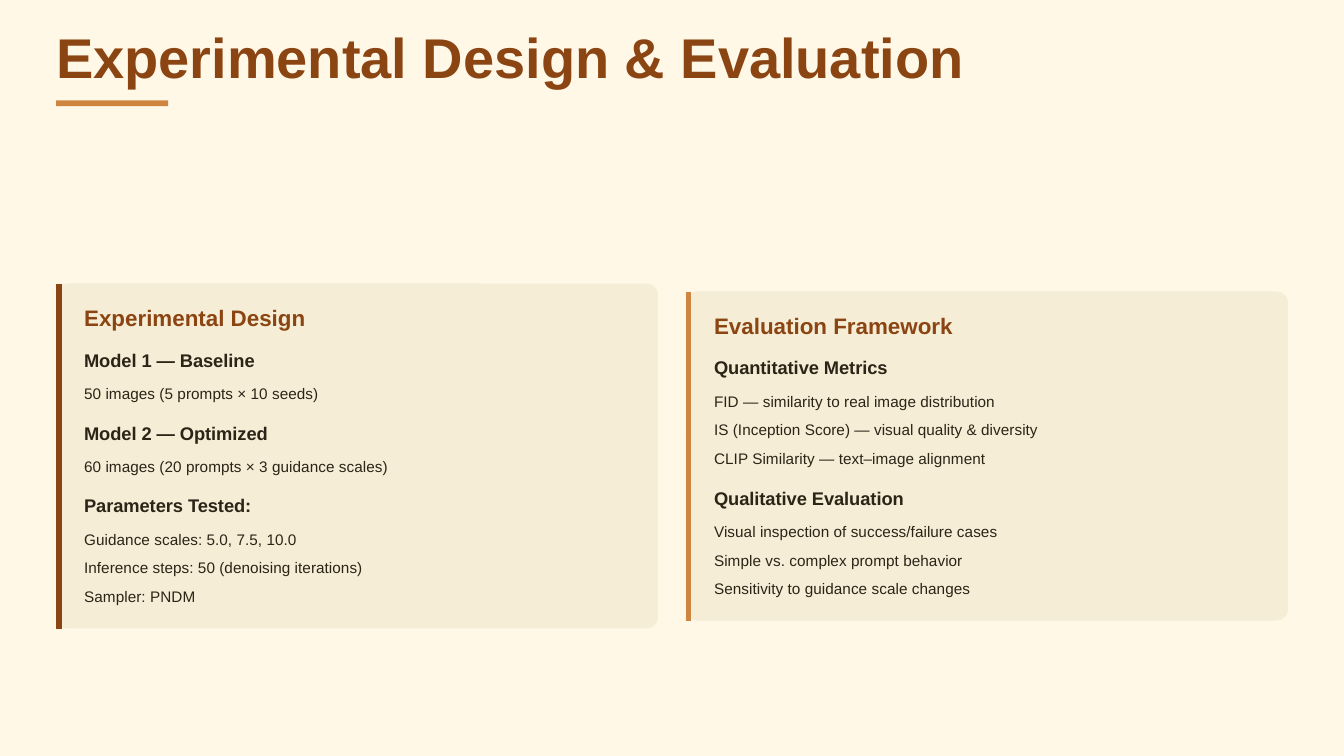
from dataclasses import dataclass

from lxml import etree
from pptx import Presentation
from pptx.dml.color import RGBColor
from pptx.enum.shapes import MSO_CONNECTOR, MSO_SHAPE
from pptx.enum.text import MSO_ANCHOR, MSO_AUTO_SIZE, PP_ALIGN
from pptx.oxml.ns import qn
from pptx.util import Cm, Pt

STRAIGHT = MSO_CONNECTOR.STRAIGHT
RECTANGLE = MSO_SHAPE.RECTANGLE
ROUNDED = MSO_SHAPE.ROUNDED_RECTANGLE
TOP = MSO_ANCHOR.TOP
NO_AUTOFIT = MSO_AUTO_SIZE.NONE
LEFT = PP_ALIGN.LEFT

CREAM = RGBColor(0xFF, 0xF8, 0xE7)
SAND = RGBColor(0xF5, 0xED, 0xD6)
BROWN = RGBColor(0x8B, 0x45, 0x13)
COPPER = RGBColor(0xCD, 0x85, 0x3F)
INK = RGBColor(0x2C, 0x24, 0x16)

FONT = "Arial"
TWO_CONTENT_LAYOUT = 3
SLIDE_WIDTH, SLIDE_HEIGHT = 25.4, 14.29
MARGIN, GAP = 1.06, 0.53
CARD_WIDTH = (SLIDE_WIDTH - 2 * MARGIN - GAP) / 2
CARDS_MIDDLE = 8.62
CORNER_RADIUS = 0.21


@dataclass(frozen=True)
class TextStyle:
    size: float
    line: float
    color: RGBColor
    bold: bool = False
    before: float = 0
    after: float = 0


TITLE = TextStyle(30, 30, BROWN, bold=True)
HEADING = TextStyle(12, 13.3, BROWN, bold=True, after=2)
SUBHEADING = TextStyle(9.75, 13.7, INK, bold=True, before=5.5, after=4.5)
ITEM = TextStyle(8.25, 12.4, INK, after=3)

CARDS = [
    ("Experimental Design", BROWN, 6.52, [
        ("Model 1 — Baseline", ["50 images (5 prompts × 10 seeds)"]),
        ("Model 2 — Optimized", ["60 images (20 prompts × 3 guidance scales)"]),
        ("Parameters Tested:", [
            "Guidance scales: 5.0, 7.5, 10.0",
            "Inference steps: 50 (denoising iterations)",
            "Sampler: PNDM",
        ]),
    ]),
    ("Evaluation Framework", COPPER, 6.22, [
        ("Quantitative Metrics", [
            "FID — similarity to real image distribution",
            "IS (Inception Score) — visual quality & diversity",
            "CLIP Similarity — text–image alignment",
        ]),
        ("Qualitative Evaluation", [
            "Visual inspection of success/failure cases",
            "Simple vs. complex prompt behavior",
            "Sensitivity to guidance scale changes",
        ]),
    ]),
]


class SlideBuilder:
    def __init__(self, presentation):
        layout = presentation.slide_layouts[TWO_CONTENT_LAYOUT]
        self.slide = presentation.slides.add_slide(layout)
        self.shapes = self.slide.shapes
        self.slide.background.fill.solid()
        self.slide.background.fill.fore_color.rgb = CREAM

    def add_panel(self, kind, left, top, width, height, color):
        shape = self.shapes.add_shape(kind, Cm(left), Cm(top), Cm(width), Cm(height))
        shape.shadow.inherit = False
        shape.fill.solid()
        shape.fill.fore_color.rgb = color
        shape.line.fill.background()
        return shape

    def add_vertical_bar(self, x, top, height, color):
        bar = self.shapes.add_connector(STRAIGHT, Cm(x), Cm(top), Cm(x), Cm(top + height))
        bar.line.color.rgb = color
        bar.line.width = Pt(3)
        etree.SubElement(bar.element.spPr, qn("a:effectLst"))

    def fill_placeholder(self, placeholder, left, top, width, height, lines):
        """Place the placeholder in front and fill it with (text, style) lines."""
        self.shapes.element.append(placeholder.element)
        placeholder.left, placeholder.top = Cm(left), Cm(top)
        placeholder.width, placeholder.height = Cm(width), Cm(height)
        frame = placeholder.text_frame
        frame.margin_left = frame.margin_right = 0
        frame.margin_top = frame.margin_bottom = 0
        frame.vertical_anchor = TOP
        frame.auto_size = NO_AUTOFIT
        frame.word_wrap = True
        frame.text = "\n".join(text for text, _ in lines)
        for paragraph, (_, style) in zip(frame.paragraphs, lines):
            self.format_paragraph(paragraph, style)

    def format_paragraph(self, paragraph, style):
        properties = paragraph._p.get_or_add_pPr()
        properties.set("marL", "0")
        properties.set("indent", "0")
        etree.SubElement(properties, qn("a:buNone"))
        paragraph.alignment = LEFT
        paragraph.line_spacing = Pt(style.line)
        paragraph.space_before = Pt(style.before)
        paragraph.space_after = Pt(style.after)
        for run in paragraph.runs:
            run.font.name = FONT
            run.font.size = Pt(style.size)
            run.font.bold = style.bold
            run.font.color.rgb = style.color

    def add_title(self, text):
        self.fill_placeholder(self.shapes.title, MARGIN, 0.63, 17.55, 1.06, [(text, TITLE)])
        self.add_panel(RECTANGLE, MARGIN, 1.9, 2.12, 0.11, COPPER)

    def add_card(self, placeholder, left, heading, accent, height, sections):
        top = CARDS_MIDDLE - height / 2
        card = self.add_panel(ROUNDED, left, top, CARD_WIDTH, height, SAND)
        card.adjustments[0] = CORNER_RADIUS / height
        self.add_vertical_bar(left + 0.05, top, height, accent)
        lines = [(heading, HEADING)]
        for subheading, items in sections:
            lines.append((subheading, SUBHEADING))
            lines.extend((item, ITEM) for item in items)
        self.fill_placeholder(placeholder, left + 0.53, top + 0.43,
                              10.64, height - 0.86, lines)


def main():
    presentation = Presentation()
    presentation.slide_width = Cm(SLIDE_WIDTH)
    presentation.slide_height = Cm(SLIDE_HEIGHT)
    builder = SlideBuilder(presentation)
    bodies = [builder.slide.placeholders[1], builder.slide.placeholders[2]]
    builder.add_title("Experimental Design & Evaluation")
    for column, (body, card) in enumerate(zip(bodies, CARDS)):
        builder.add_card(body, MARGIN + column * (CARD_WIDTH + GAP), *card)
    presentation.save("out.pptx")


if __name__ == "__main__":
    main()
